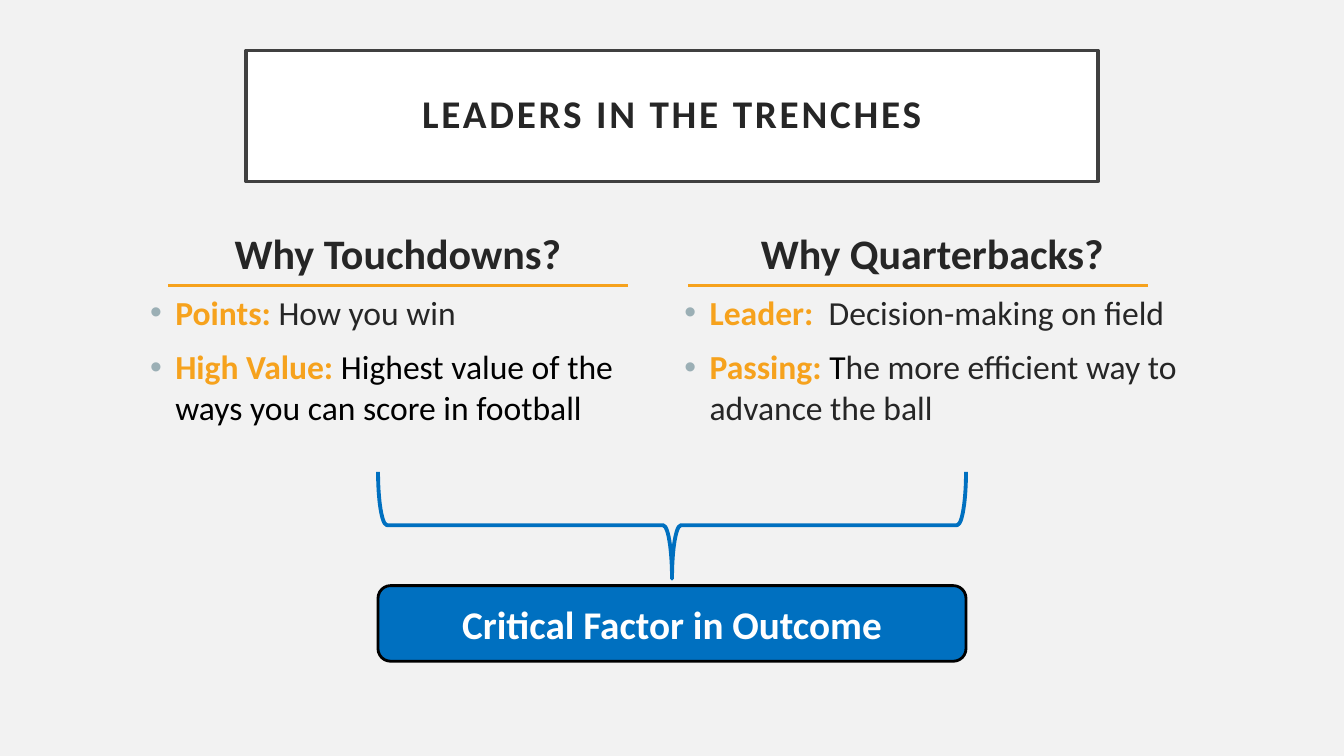
from lxml.etree import SubElement
from pptx import Presentation
from pptx.dml.color import RGBColor
from pptx.enum.shapes import MSO_CONNECTOR, MSO_SHAPE
from pptx.enum.text import MSO_ANCHOR, MSO_AUTO_SIZE, PP_ALIGN
from pptx.oxml.ns import qn
from pptx.util import Pt

INK, BLACK, WHITE = "262626", "000000", "FFFFFF"
ORANGE, BLUE, BULLET = "F6A21D", "0070C0", "9BAFB5"
BACKGROUND, FRAME = "F2F2F2", "404040"

TITLE = "LEADERS IN THE TRENCHES"
OUTCOME = "Critical Factor in Outcome"
# Each point is a list of (text, colour, bold)
COLUMNS = [
    {"heading": "Why Touchdowns?", "left": 100, "height": 279.4, "rule": 120.2,
     "points": [
         [("Points: ", ORANGE, True), ("How you win", INK, False)],
         [("High Value: ", ORANGE, True),
          ("Highest value of the ways you can score in football", BLACK, False)]]},
    {"heading": "Why Quarterbacks?", "left": 481.7, "height": 224.6, "rule": 491.8,
     "points": [
         [("Leader:  ", ORANGE, True), ("Decision-making on field", INK, False)],
         [("Passing: ", ORANGE, True), ("T", BLACK, False),
          ("he more efficient way to advance the ball", INK, False)]]},
]

SLIDE_W, SLIDE_H = 960, 540
TITLE_TOP, TITLE_W, TITLE_H = 36, 608.4, 93.6
COLUMN_TOP, COLUMN_W = 159, 368.64
RULE_Y, RULE_W = 203.8, 328.3
OUTCOME_TOP, OUTCOME_W, OUTCOME_H = 418.3, 420, 54
BRACE_TOP, BRACE_DEPTH = 337, 76.3
INDENT = 18


def rgb(value):
    return RGBColor.from_string(value)


def place(shape, left, top, width, height):
    box = {"left": left, "top": top, "width": width, "height": height}
    for side, points in box.items():
        setattr(shape, side, Pt(points))


def outline(shape, color, width):
    shape.line.color.rgb = rgb(color)
    shape.line.width = Pt(width)


def fill(shape, color):
    shape.fill.solid()
    shape.fill.fore_color.rgb = rgb(color)


def format_frame(frame, anchor, inset_x, inset_y):
    settings = {"word_wrap": True, "auto_size": MSO_AUTO_SIZE.NONE,
                "vertical_anchor": anchor,
                "margin_left": Pt(inset_x), "margin_right": Pt(inset_x),
                "margin_top": Pt(inset_y), "margin_bottom": Pt(inset_y)}
    for name, value in settings.items():
        setattr(frame, name, value)


def add_run(paragraph, text, size, color, bold=True):
    run = paragraph.add_run()
    run.text = text
    for name, value in {"name": "Calibri", "size": Pt(size), "bold": bold}.items():
        setattr(run.font, name, value)
    run.font.color.rgb = rgb(color)
    return run


def set_bullet(paragraph, shown):
    properties = paragraph._p.get_or_add_pPr()
    indent = Pt(INDENT) if shown else 0
    properties.set("marL", str(indent))
    properties.set("indent", str(-indent))
    if shown:
        color = SubElement(properties, qn("a:buClr"))
        SubElement(color, qn("a:srgbClr"), val=BULLET)
        SubElement(properties, qn("a:buFont"), typeface="Arial")
        SubElement(properties, qn("a:buChar"), char="•")
    else:
        SubElement(properties, qn("a:buNone"))


def format_paragraph(paragraph, alignment, spacing, before=0):
    settings = {"alignment": alignment, "line_spacing": spacing,
                "space_before": Pt(before), "space_after": Pt(0)}
    for name, value in settings.items():
        setattr(paragraph, name, value)


def fill_title(title):
    place(title, (SLIDE_W - TITLE_W) / 2, TITLE_TOP, TITLE_W, TITLE_H)
    fill(title, WHITE)
    outline(title, FRAME, 2.5)
    format_frame(title.text_frame, MSO_ANCHOR.MIDDLE, 14.4, 14.4)
    paragraph = title.text_frame.paragraphs[0]
    format_paragraph(paragraph, PP_ALIGN.CENTER, 0.9)
    run = add_run(paragraph, TITLE, 28, INK)
    run.font._element.set("spc", "200")


def fill_column(body, column):
    place(body, column["left"], COLUMN_TOP, COLUMN_W, column["height"])
    frame = body.text_frame
    format_frame(frame, MSO_ANCHOR.TOP, 7.2, 3.6)
    heading = frame.paragraphs[0]
    format_paragraph(heading, PP_ALIGN.CENTER, 1.0, 10)
    set_bullet(heading, False)
    add_run(heading, column["heading"], 30, INK)
    for point in column["points"]:
        paragraph = frame.add_paragraph()
        format_paragraph(paragraph, PP_ALIGN.LEFT, 1.0, 10)
        set_bullet(paragraph, True)
        for text, color, bold in point:
            add_run(paragraph, text, 24, color, bold)


def add_rule(slide, left):
    rule = slide.shapes.add_connector(
        MSO_CONNECTOR.STRAIGHT, Pt(left), Pt(RULE_Y), Pt(left + RULE_W), Pt(RULE_Y))
    outline(rule, ORANGE, 2)
    SubElement(rule._element.spPr, qn("a:effectLst"))


def add_brace(slide):
    # Placed upright around its centre, then turned to point down
    left = (SLIDE_W - BRACE_DEPTH) / 2
    top = BRACE_TOP + (BRACE_DEPTH - OUTCOME_W) / 2
    brace = slide.shapes.add_shape(
        MSO_SHAPE.RIGHT_BRACE, Pt(left), Pt(top), Pt(BRACE_DEPTH), Pt(OUTCOME_W))
    brace.rotation = 90
    brace.shadow.inherit = False
    brace.fill.background()
    outline(brace, BLUE, 2.75)


def add_outcome(slide):
    outcome = slide.shapes.add_shape(
        MSO_SHAPE.ROUNDED_RECTANGLE, Pt((SLIDE_W - OUTCOME_W) / 2),
        Pt(OUTCOME_TOP), Pt(OUTCOME_W), Pt(OUTCOME_H))
    outcome.shadow.inherit = False
    fill(outcome, BLUE)
    outline(outcome, BLACK, 2)
    format_frame(outcome.text_frame, MSO_ANCHOR.MIDDLE, 7.2, 3.6)
    paragraph = outcome.text_frame.paragraphs[0]
    format_paragraph(paragraph, PP_ALIGN.CENTER, 1.0)
    add_run(paragraph, OUTCOME, 28, WHITE)


def main():
    deck = Presentation()
    deck.slide_width, deck.slide_height = Pt(SLIDE_W), Pt(SLIDE_H)
    slide = deck.slides.add_slide(deck.slide_layouts.get_by_name("Two Content"))
    fill(slide.background, BACKGROUND)
    title, *bodies = slide.placeholders
    fill_title(title)
    for body, column in zip(bodies, COLUMNS):
        fill_column(body, column)
        add_rule(slide, column["rule"])
    add_brace(slide)
    add_outcome(slide)
    deck.save("out.pptx")


if __name__ == "__main__":
    main()
